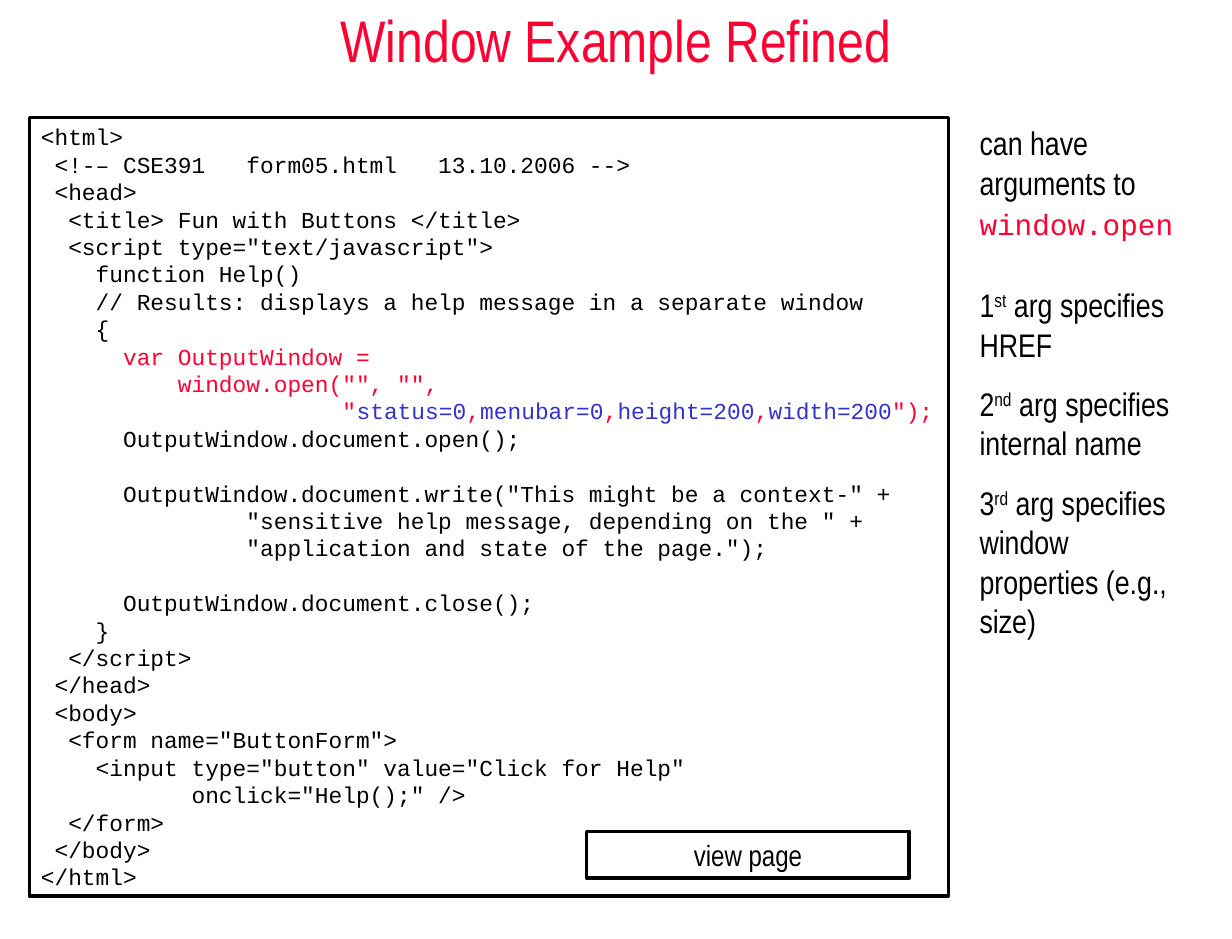
import pptx
import pptx.util
import pptx.dml.color
import pptx.enum.shapes
import pptx.enum.text

PX = 9525  # EMU per px, 96 px to the inch
COLORS = {"ink": "000000", "red": "FF0033", "blue": "3333CC"}
SANS, MONO = "Arial Narrow", "Courier New"
CODE_LINE = 16.8  # height of one line of code, in points

CODE_HEAD = """<html>
 <!-– CSE391   form05.html   13.10.2006 -->
 <head>
  <title> Fun with Buttons </title>
  <script type="text/javascript">
    function Help()
    // Results: displays a help message in a separate window
    {"""
CODE_OPEN = """      var OutputWindow =
          window.open("", "","""
WINDOW_PROPERTIES = ["status=0", "menubar=0", "height=200", "width=200"]
CODE_TAIL = """      OutputWindow.document.open();

      OutputWindow.document.write("This might be a context-" +
               "sensitive help message, depending on the " +
               "application and state of the page.");

      OutputWindow.document.close();
    }
  </script>
 </head>
 <body>
  <form name="ButtonForm">
    <input type="button" value="Click for Help"
           onclick="Help();" />
  </form>
 </body>
</html>"""
ARGUMENTS = [
    ("1", "st", " arg specifies HREF"),
    ("2", "nd", " arg specifies internal name"),
    ("3", "rd", " arg specifies window properties (e.g., size)"),
]


def px(*lengths):
    return [length * PX for length in lengths]


def color(name):
    return pptx.dml.color.RGBColor.from_string(COLORS[name])


def add_run(paragraph, text, size, font=SANS, ink="ink", superscript=False):
    run = paragraph.add_run()
    run.text = text
    run.font.size = pptx.util.Pt(size)
    run.font.name = font
    run.font.color.rgb = color(ink)
    if superscript:
        run.font._element.set("baseline", "30000")


def next_paragraph(frame, gap=0):
    """Return the empty first paragraph, or a new one below a gap in points."""
    first = frame.paragraphs[0]
    if not first.runs:
        return first
    paragraph = frame.add_paragraph()
    paragraph.space_before = pptx.util.Pt(gap)
    return paragraph


def add_frame(slide, left, top, width, height):
    """Outlined, unfilled rectangle with left-aligned text from the top."""
    box = slide.shapes.add_shape(
        pptx.enum.shapes.MSO_SHAPE.RECTANGLE, *px(left, top, width, height))
    box.shadow.inherit = False
    box.fill.background()
    box.line.color.rgb = color("ink")
    box.line.width = pptx.util.Pt(2.25)
    frame = box.text_frame
    frame.word_wrap = True
    frame.vertical_anchor = pptx.enum.text.MSO_ANCHOR.TOP
    frame.paragraphs[0].alignment = pptx.enum.text.PP_ALIGN.LEFT
    return frame


def add_code_line(frame, pieces, gap=0):
    paragraph = next_paragraph(frame, gap)
    paragraph.alignment = pptx.enum.text.PP_ALIGN.LEFT
    paragraph.line_spacing = pptx.util.Pt(CODE_LINE)
    for text, ink in pieces:
        add_run(paragraph, text, 14, MONO, ink)


def add_code(frame, source, ink="ink"):
    """Add lines of code; an empty line becomes space above the next one."""
    gap = 0
    for line in source.split("\n"):
        if line:
            add_code_line(frame, [(line, ink)], gap)
            gap = 0
        else:
            gap += CODE_LINE


def add_title(slide, text):
    title = slide.shapes.title
    title.left, title.top, title.width, title.height = px(0, 0, 1008, 64)
    frame = title.text_frame
    frame.vertical_anchor = pptx.enum.text.MSO_ANCHOR.MIDDLE
    paragraph = frame.paragraphs[0]
    paragraph.alignment = pptx.enum.text.PP_ALIGN.CENTER
    add_run(paragraph, text, 36, ink="red")


def add_listing(slide):
    frame = add_frame(slide, 24, 96, 752, 637)
    add_code(frame, CODE_HEAD)
    add_code(frame, CODE_OPEN, "red")
    properties = [(" " * 22 + '"', "red")]
    for index, name in enumerate(WINDOW_PROPERTIES):
        if index:
            properties.append((",", "red"))
        properties.append((name, "blue"))
    add_code_line(frame, properties + [('");', "red")])
    add_code(frame, CODE_TAIL)


def add_notes_column(slide):
    frame = slide.shapes.add_textbox(*px(792, 96, 184, 428)).text_frame
    frame.word_wrap = True
    intro = next_paragraph(frame)
    add_run(intro, "can have arguments to ", 20)
    add_run(intro, "window.open", 18, MONO, "red")
    for index, (number, ordinal, meaning) in enumerate(ARGUMENTS):
        argument = next_paragraph(frame, 12.5 if index else 27)
        add_run(argument, number, 20)
        add_run(argument, ordinal, 20, superscript=True)
        add_run(argument, meaning, 20)
    for paragraph in frame.paragraphs:
        paragraph.line_spacing = pptx.util.Pt(24.1)


def add_button(slide, label):
    paragraph = add_frame(slide, 480, 680, 264, 38).paragraphs[0]
    paragraph.alignment = pptx.enum.text.PP_ALIGN.CENTER
    add_run(paragraph, label, 18)


def main():
    deck = pptx.Presentation()
    deck.slide_width, deck.slide_height = px(1008, 768)
    slide = deck.slides.add_slide(deck.slide_layouts[5])  # title only
    add_title(slide, "Window Example Refined")
    add_listing(slide)
    add_notes_column(slide)
    add_button(slide, "view page")
    deck.save("out.pptx")


if __name__ == "__main__":
    main()
